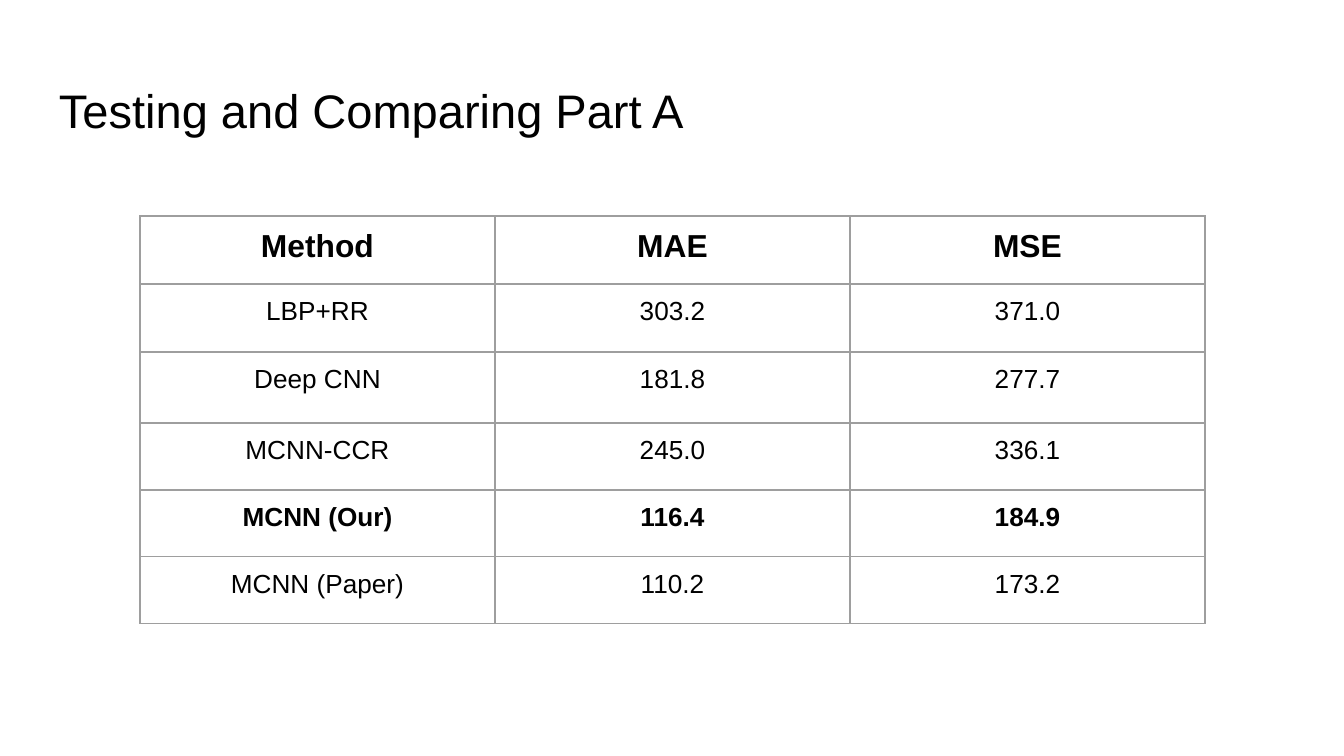
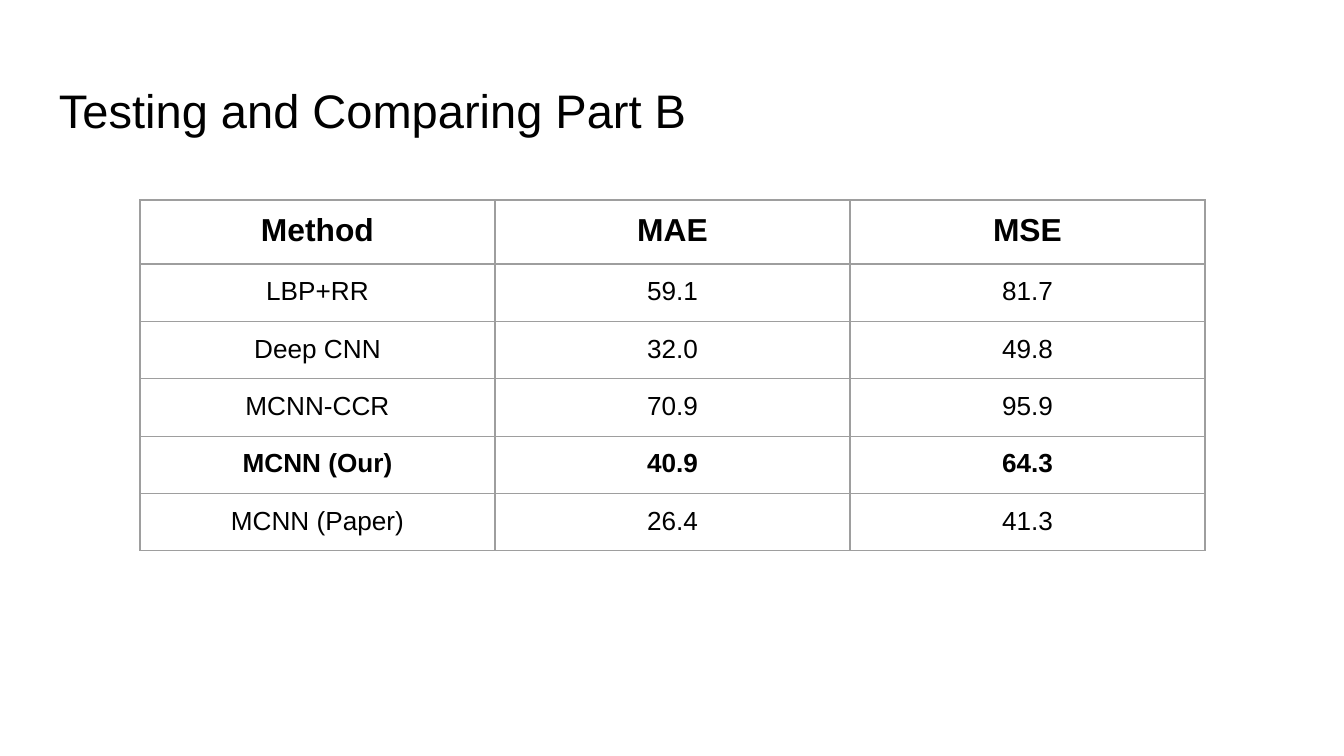
from lxml.etree import SubElement
from pptx import Presentation
from pptx.dml.color import RGBColor
from pptx.enum.text import MSO_ANCHOR, PP_ALIGN
from pptx.oxml.ns import qn
from pptx.util import Emu, Pt

BLACK = RGBColor(0x00, 0x00, 0x00)
WHITE = RGBColor(0xFF, 0xFF, 0xFF)
BORDER = RGBColor(0x9E, 0x9E, 0x9E)
FONT = "Arial"
SLIDE_W, SLIDE_H = 1344, 756
PAD = 13
TABLE_X, COL_W = 140, 355

HEADER = ("Method", "MAE", "MSE")
OURS = "MCNN (Our)"
PART_A = [
    ("LBP+RR", "303.2", "371.0"),
    ("Deep CNN", "181.8", "277.7"),
    ("MCNN-CCR", "245.0", "336.1"),
    (OURS, "116.4", "184.9"),
    ("MCNN (Paper)", "110.2", "173.2"),
]
PART_B = [
    ("LBP+RR", "59.1", "81.7"),
    ("Deep CNN", "32.0", "49.8"),
    ("MCNN-CCR", "70.9", "95.9"),
    (OURS, "40.9", "64.3"),
    ("MCNN (Paper)", "26.4", "41.3"),
]


def px(n):
    return Emu(round(n * 914400 * 10 / SLIDE_W))


def write(tf, text, size=14, bold=False, align=PP_ALIGN.LEFT, color=BLACK):
    p = tf.paragraphs[0]
    p.alignment = align
    r = p.add_run()
    r.text = text
    r.font.name = FONT
    r.font.size = Pt(size)
    r.font.bold = bold
    r.font.color.rgb = color


def set_margins(box):
    box.margin_left = box.margin_right = px(PAD)
    box.margin_top = box.margin_bottom = px(PAD)


def add_title(s, text):
    tf = s.shapes.add_textbox(px(46), px(66), px(1252), px(85)).text_frame
    tf.word_wrap = True
    tf.vertical_anchor = MSO_ANCHOR.BOTTOM
    set_margins(tf)
    write(tf, text, size=25.2)


def set_borders(cell):
    tc_pr = cell._tc.get_or_add_tcPr()
    for side in ("lnL", "lnR", "lnT", "lnB"):
        ln = SubElement(tc_pr, qn(f"a:{side}"), w=str(Pt(0.75)))
        fill = SubElement(ln, qn("a:solidFill"))
        SubElement(fill, qn("a:srgbClr"), val=str(BORDER))


def add_results(s, results, top, heights):
    rows = [HEADER, *results]
    frame = s.shapes.add_table(len(rows), len(HEADER), px(TABLE_X), px(top),
                               px(COL_W * len(HEADER)), px(sum(heights)))
    table = frame.table
    table.first_row = table.horz_banding = False
    for col in table.columns:
        col.width = px(COL_W)
    for i, (values, height) in enumerate(zip(rows, heights)):
        table.rows[i].height = px(height)
        for j, value in enumerate(values):
            cell = table.cell(i, j)
            set_margins(cell)
            set_borders(cell)
            cell.fill.background()
            write(cell.text_frame, value, size=17 if i == 0 else 14,
                  bold=values[0] in (HEADER[0], OURS), align=PP_ALIGN.CENTER)


def add_slide(prs, title, results, top, heights):
    s = prs.slides.add_slide(prs.slide_layouts[6])
    s.background.fill.solid()
    s.background.fill.fore_color.rgb = WHITE
    add_title(s, title)
    add_results(s, results, top, heights)


def main():
    prs = Presentation()
    prs.slide_width, prs.slide_height = px(SLIDE_W), px(SLIDE_H)

    # Part A: the third row is a little taller
    add_slide(prs, "Testing and Comparing Part A", PART_A, 216,
              [68, 68, 71, 67, 67, 67])
    # Part B: even rows, the header grows to fit its text
    add_slide(prs, "Testing and Comparing Part B", PART_B, 200, [56] * 6)

    prs.save("out.pptx")


if __name__ == "__main__":
    main()
